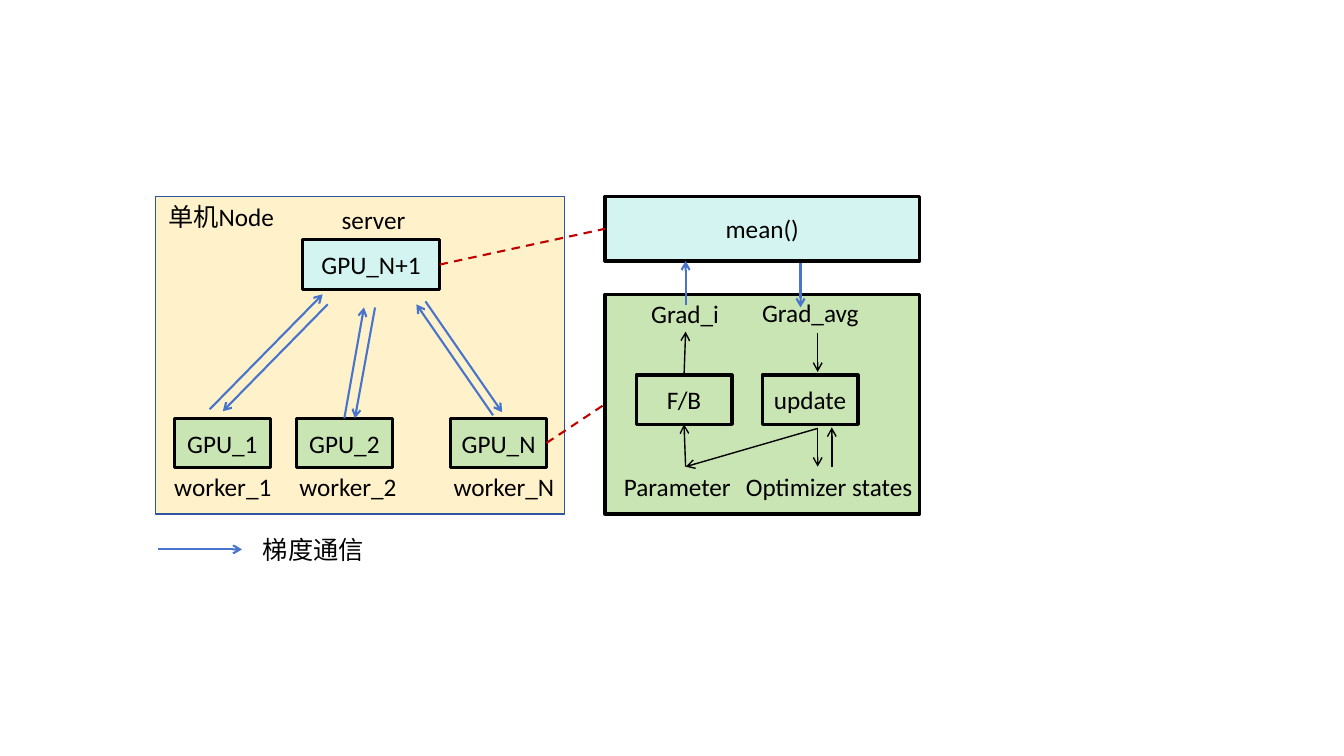
from pptx import Presentation
from pptx import util as u
from pptx.dml.color import RGBColor
from pptx.enum import dml, shapes, text
from pptx.oxml import ns, xmlchemy

Inches = u.Inches

# Theme: colours, type and line sizes
THEME = {
    "ink": "000000", "sand": "FFF2CA", "navy": "2E54A1", "green": "C8E5B3",
    "cyan": "D4F4F2", "blue": "4874CB", "red": "C00000",
    "font": {"name": "Calibri", "size": u.Pt(18)},
    "thin": 1, "mid": 1.5, "thick": 2.25,
}
TOP, LEFT, BOTTOM, RIGHT = range(4)


def tint(name):
    return RGBColor.from_string(THEME[name])


def apply(target, values):
    for name, value in values.items():
        setattr(target, name, value)


def write(frame, words, align, anchor, wrap):
    apply(frame, {"word_wrap": wrap, "vertical_anchor": anchor})
    para = frame.paragraphs[0]
    para.alignment = align
    run = para.add_run()
    run.text = words
    apply(run.font, THEME["font"])
    run.font.color.rgb = tint("ink")


def stroke(line, color, width):
    line.color.rgb = tint(color)
    line.width = u.Pt(width)


def box(slide, rect, fill=None, words="", edge="ink", width=THEME["thick"]):
    shape = slide.shapes.add_shape(shapes.MSO_SHAPE.RECTANGLE, *map(Inches, rect))
    shape.shadow.inherit = False
    if fill:
        shape.fill.solid()
        shape.fill.fore_color.rgb = tint(fill)
    else:
        shape.fill.background()
    stroke(shape.line, edge, width)
    if words:
        write(shape.text_frame, words, text.PP_ALIGN.CENTER,
              text.MSO_ANCHOR.MIDDLE, False)
    return shape


def label(slide, words, left, top, width=1.44):
    frame = slide.shapes.add_textbox(
        *map(Inches, (left, top, width, 0.4))).text_frame
    write(frame, words, text.PP_ALIGN.LEFT, text.MSO_ANCHOR.TOP, True)
    frame.auto_size = text.MSO_AUTO_SIZE.SHAPE_TO_FIT_TEXT


def link(slide, start, end, color, width, tip=True):
    """Draw a line; each end is a point or a (box, side) pair."""
    points = [(0, 0) if hasattr(e[0], "shape_id") else e for e in (start, end)]
    line = slide.shapes.add_connector(
        shapes.MSO_CONNECTOR.STRAIGHT, *map(Inches, points[0] + points[1]))
    for e, join in ((start, line.begin_connect), (end, line.end_connect)):
        if hasattr(e[0], "shape_id"):
            join(*e)
    stroke(line.line, color, width)
    if tip:
        xmlchemy.OxmlElement("a:tailEnd")
        head = xmlchemy.OxmlElement("a:tailEnd")
        head.set("type", "arrow")
        line.line._get_or_add_ln().append(head)
    else:
        line.line.dash_style = dml.MSO_LINE.DASH
    line._element.find(ns.qn("p:spPr")).append(
        xmlchemy.OxmlElement("a:effectLst"))


def draw_node(slide):
    """Draw the machine with its server and workers."""
    box(slide, (1.54, 1.95, 4.06, 3.15), "sand", edge="navy", width=THEME["thin"])
    label(slide, "单机Node", 1.57, 1.95)
    label(slide, "server", 3.29, 1.98)
    server = box(slide, (3, 2.38, 1.36, 0.49), "cyan", "GPU_N+1")
    crew = {}
    for key, left, note in (("1", 1.73, 1.63), ("2", 2.94, 2.87), ("N", 4.47, 4.4)):
        crew[key] = box(slide, (left, 4.15, 0.95, 0.49), "green", f"GPU_{key}")
        label(slide, f"worker_{key}", note, 4.63)

    # Gradients up and down, then the legend
    for start, end in (
        ((2.08, 4.06), (3.2, 2.92)), ((3.25, 3.02), (2.21, 4.08)),
        ((crew["2"], TOP), (3.61, 3.05)), ((3.72, 3.05), (3.52, 4.15)),
        ((4.89, 4.12), (4.13, 3.02)), ((4.22, 2.99), (4.98, 4.09)),
        ((1.57, 5.45), (2.4, 5.45)),
    ):
        link(slide, start, end, "blue", THEME["mid"])
    label(slide, "梯度通信", 2.51, 5.25)
    return server, crew["N"]


def draw_detail(slide):
    """Draw the steps inside the server and one worker."""
    panel = box(slide, (6, 2.92, 3.12, 2.18), "green")
    mean = box(slide, (6, 1.95, 3.12, 0.64), "cyan", "mean()")
    step = box(slide, (6.31, 3.72, 0.95, 0.49), words="F/B")
    box(slide, (7.56, 3.72, 0.95, 0.49), words="update")
    for item in (("Grad_i", 6.36, 2.91, 1.11), ("Grad_avg", 7.46, 2.9, 1.29),
                 ("Parameter", 6.09, 4.63), ("Optimizer states", 7.3, 4.63, 1.91)):
        label(slide, *item)

    # Flow inside the worker
    for start, end in (
        ((6.8, 4.63), (step, BOTTOM)), ((step, TOP), (6.8, 3.29)),
        ((8.11, 3.3), (8.11, 3.69)), ((8.11, 4.25), (6.8, 4.63)),
        ((8.11, 4.25), (8.11, 4.63)), ((8.25, 4.63), (8.25, 4.24)),
    ):
        link(slide, start, end, "ink", THEME["thin"])

    # Exchange with the server
    for start, end in (((6.8, 3.03), (6.8, 2.59)), ((7.94, 2.61), (7.94, 3.05))):
        link(slide, start, end, "blue", THEME["mid"])
    return mean, panel


def main():
    deck = Presentation()
    apply(deck, {"slide_width": Inches(13.33), "slide_height": Inches(7.5)})
    slide = deck.slides.add_slide(deck.slide_layouts[6])
    # Dashed callouts tie each unit to its detail
    for unit, detail in zip(draw_node(slide), draw_detail(slide)):
        link(slide, (unit, RIGHT), (detail, LEFT), "red", THEME["mid"], tip=False)
    deck.save("out.pptx")


if __name__ == "__main__":
    main()
